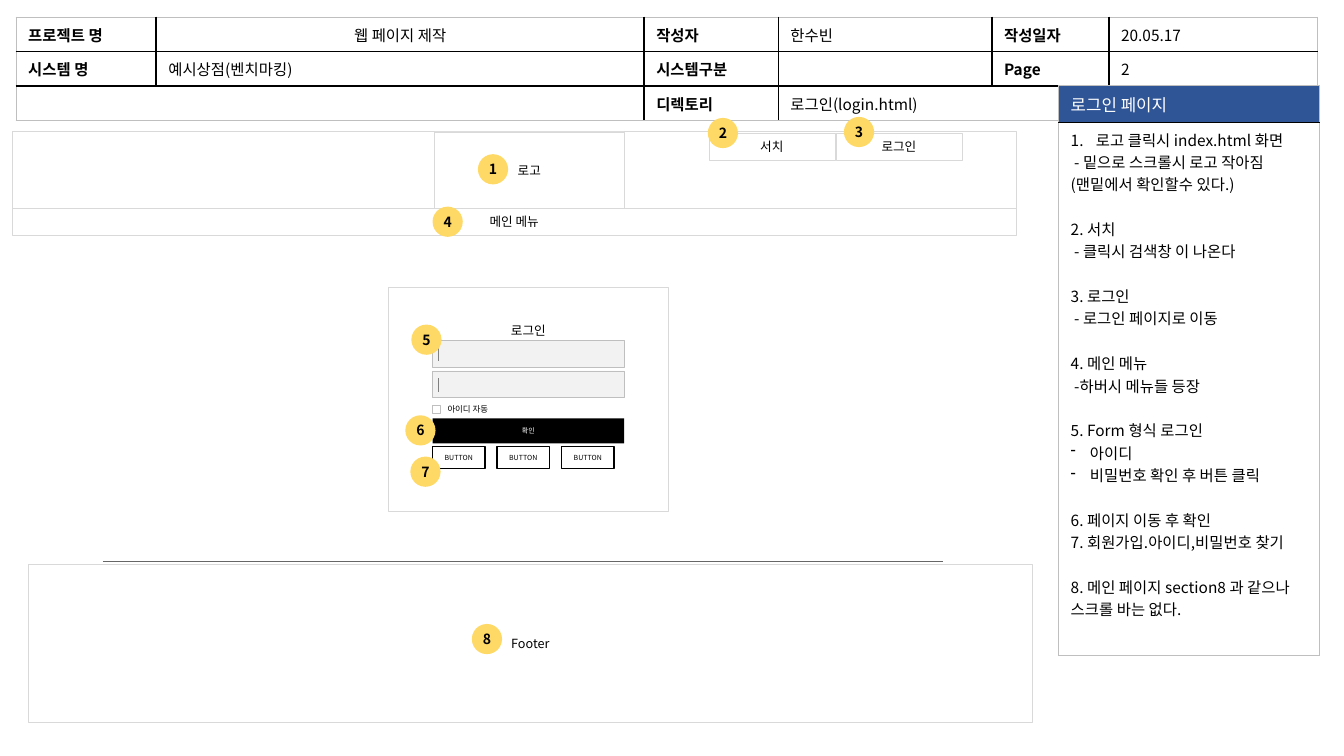
from lxml import etree
from pptx import Presentation
from pptx.dml.color import RGBColor
from pptx.enum.shapes import MSO_CONNECTOR, MSO_SHAPE
from pptx.enum.text import MSO_ANCHOR, PP_ALIGN
from pptx.oxml.ns import qn
from pptx.util import Inches, Pt

RECT, OVAL = MSO_SHAPE.RECTANGLE, MSO_SHAPE.OVAL
STRAIGHT = MSO_CONNECTOR.STRAIGHT
LEFT, CENTER = PP_ALIGN.LEFT, PP_ALIGN.CENTER
TOP, MIDDLE = MSO_ANCHOR.TOP, MSO_ANCHOR.MIDDLE
FONT = "Noto Sans CJK KR"
BLACK, WHITE, PALE, GRAY = "000000", "FFFFFF", "D9D9D9", "BFBFBF"
rgb = RGBColor.from_string


def write_text(para, text, size=11, color=BLACK, bold=False, align=LEFT):
    """Write one formatted run, or only the text size when there is no text."""
    para.alignment = align
    if not text:
        etree.SubElement(para._p, qn("a:endParaRPr"), sz=str(size * 100))
        return
    span = para.add_run()
    span.text = text
    span.font.size = Pt(size)
    span.font.bold = bold
    span.font.color.rgb = rgb(color)
    span.font.name = FONT
    etree.SubElement(span._r.get_or_add_rPr(), qn("a:ea"), typeface=FONT)


def add_box(left, top, width, height, text="", kind=RECT, fill=WHITE, line=PALE,
            weight=0.25, anchor=MIDDLE, **style):
    """Add a flat shape with centred text and return it."""
    box = page.shapes.add_shape(kind, Inches(left), Inches(top), Inches(width), Inches(height))
    box.shadow.inherit = False
    box.fill.solid()
    box.fill.fore_color.rgb = rgb(fill)
    if line:
        box.line.color.rgb = rgb(line)
        box.line.width = Pt(weight)
    else:
        box.line.fill.background()
    box.text_frame.vertical_anchor = anchor
    if text:
        write_text(box.text_frame.paragraphs[0], text, align=CENTER, **style)
    return box


deck = Presentation()
deck.slide_width, deck.slide_height = Inches(13.33), Inches(7.5)
page = deck.slides.add_slide(deck.slide_layouts[6])

# Frames behind everything else
login_frame = add_box(3.85, 2.85, 2.78, 2.22, "로그인", anchor=TOP, size=9)
login_frame.text_frame.paragraphs[0].line_spacing = 3.0
add_box(0.12, 1.3, 9.96, 1.02)

# Project table and description panel
info = page.shapes.add_table(3, 6, Inches(0.16), Inches(0.17), Inches(12.91), Inches(1.02)).table
panel = page.shapes.add_table(2, 1, Inches(10.5), Inches(0.85), Inches(2.59), Inches(5.61)).table
thin, thick, outer = (BLACK, 1), (BLACK, 1.5), (GRAY, 1)
layouts = [
    (info, [1.39, 4.84, 1.33, 2.12, 1.16, 2.07], [0.34] * 3,
     [outer, thick, thick, thin, thin, thick, outer]),
    (panel, [2.59], [0.28, 5.29], [outer, outer]),
]
info.cell(2, 0).merge(info.cell(2, 1))
info.cell(2, 3).merge(info.cell(2, 5))
merged_edges = {1, 4, 5}

for table, widths, heights, uprights in layouts:
    table.first_row = table.horz_banding = False
    for column, width in zip(table.columns, widths):
        column.width = Inches(width)
    for row, height in zip(table.rows, heights):
        row.height = Inches(height)
    levels = [outer] + [thin] * (len(heights) - 1) + [outer]
    for r in range(len(heights)):
        for c in range(len(widths)):
            cell = table.cell(r, c)
            cell.margin_left = cell.margin_right = Inches(0.12)
            cell.margin_top = cell.margin_bottom = Inches(0.06)
            if table is panel and r == 0:
                cell.fill.solid()
                cell.fill.fore_color.rgb = rgb("2F5597")
            else:
                cell.fill.background()
            sides = [uprights[c], uprights[c + 1], levels[r], levels[r + 1]]
            if table is info and r == 2:
                for side in (0, 1):
                    if c + side in merged_edges:
                        sides[side] = None
            for index, (tag, edge) in enumerate(zip(("lnL", "lnR", "lnT", "lnB"), sides)):
                border = etree.Element(qn(f"a:{tag}"))
                cell._tc.get_or_add_tcPr().insert(index, border)
                if edge:
                    border.set("w", str(Pt(edge[1])))
                    solid = etree.SubElement(border, qn("a:solidFill"))
                    etree.SubElement(solid, qn("a:srgbClr"), val=edge[0])
                else:
                    etree.SubElement(border, qn("a:noFill"))

project_rows = [
    ["프로젝트 명", "웹 페이지 제작", "작성자", "한수빈", "작성일자", "20.05.17"],
    ["시스템 명", "예시상점(벤치마킹)", "시스템구분", "", "Page", "2"],
    ["", "", "디렉토리", "로그인(login.html)", "", ""],
]
for r, texts in enumerate(project_rows):
    for c, text in enumerate(texts):
        write_text(info.cell(r, c).text_frame.paragraphs[0], text, bold=c % 2 == 0,
                   align=CENTER if (r, c) == (0, 1) else LEFT)

write_text(panel.cell(0, 0).text_frame.paragraphs[0], "로그인 페이지", size=12, color=WHITE)

# Each inner list is one section; a marker is (indent, tag, attributes)
number = (0.25, "buAutoNum", {"type": "arabicPeriod"})
dash = (0.19, "buChar", {"char": "-"})
sections = [
    [("로고 클릭시 index.html 화면", number),
     (" - 밑으로 스크롤시 로고 작아짐(맨밑에서 확인할수 있다.)", None)],
    [("2. 서치", None), (" - 클릭시 검색창 이 나온다", None)],
    [("3. 로그인", None), (" - 로그인 페이지로 이동", None)],
    [("4. 메인 메뉴", None), (" -하버시 메뉴들 등장", None)],
    [("5. Form 형식 로그인", None), ("아이디", dash), ("비밀번호 확인 후 버튼 클릭", dash)],
    [("6. 페이지 이동 후 확인", None), ("7. 회원가입.아이디,비밀번호 찾기", None)],
    [("8. 메인 페이지 section8 과 같으나 스크롤 바는 없다.", None)],
]
notes = panel.cell(1, 0).text_frame
for s, section in enumerate(sections):
    for n, (text, marker) in enumerate(section):
        para = notes.add_paragraph() if s or n else notes.paragraphs[0]
        write_text(para, text)
        if s and n == 0:
            para.space_before = Pt(16)
        if marker:
            indent, tag, attributes = marker
            settings = para._p.get_or_add_pPr()
            settings.set("marL", str(Inches(indent)))
            settings.set("indent", str(-Inches(indent)))
            etree.SubElement(settings, qn(f"a:{tag}"), attributes)

# Page header
add_box(4.31, 1.31, 1.88, 0.76, "로고", size=9)
add_box(0.12, 2.07, 9.96, 0.26, "메인 메뉴", size=9)
add_box(8.29, 1.32, 1.25, 0.27, "로그인", size=9)
add_box(7.03, 1.32, 1.25, 0.27, "서치", size=9)

# Login form
for top in (3.38, 3.68):
    add_box(4.29, top, 1.9, 0.26, fill="F2F2F2", line=GRAY)
add_box(4.29, 4.02, 0.08, 0.08, line=GRAY, weight=0.75)
remember = page.shapes.add_textbox(Inches(4.34), Inches(3.96), Inches(0.65), Inches(0.2))
remember.text_frame.word_wrap = False
write_text(remember.text_frame.paragraphs[0], "아이디 자동", size=6)
add_box(4.29, 4.15, 1.9, 0.25, "확인", fill=BLACK, line=None, size=5, color=WHITE)
for i in range(3):
    button = add_box(4.29 + 0.64 * i, 4.43, 0.52, 0.22, "BUTTON", line=BLACK, weight=1, size=5)
    button.text_frame.word_wrap = False

# Footer
add_box(0.28, 5.6, 9.96, 1.57, "Footer", size=9)

# Text cursors and the footer rule
for x1, y1, x2, y2, color, weight in [
    (4.35, 3.45, 4.35, 3.58, "808080", 0.25),
    (4.35, 3.75, 4.35, 3.89, "808080", 0.25),
    (1.02, 5.57, 9.35, 5.57, "666666", 0.5),
]:
    rule = page.shapes.add_connector(STRAIGHT, Inches(x1), Inches(y1), Inches(x2), Inches(y2))
    rule.line.color.rgb = rgb(color)
    rule.line.width = Pt(weight)
    etree.SubElement(rule._element.spPr, qn("a:effectLst"))

# Numbered badges
badges = [(4.74, 1.53), (7.02, 1.17), (8.37, 1.16), (4.29, 2.05),
          (4.08, 3.22), (4.02, 4.12), (4.07, 4.53), (4.68, 6.19)]
for label, (left, top) in enumerate(badges, 1):
    badge = add_box(left, top, 0.3, 0.3, str(label), kind=OVAL, fill="FFD966",
                    line=None, size=10, bold=True)
    frame = badge.text_frame
    frame.word_wrap = False
    frame.margin_left = frame.margin_right = frame.margin_top = frame.margin_bottom = 0

deck.save("out.pptx")
